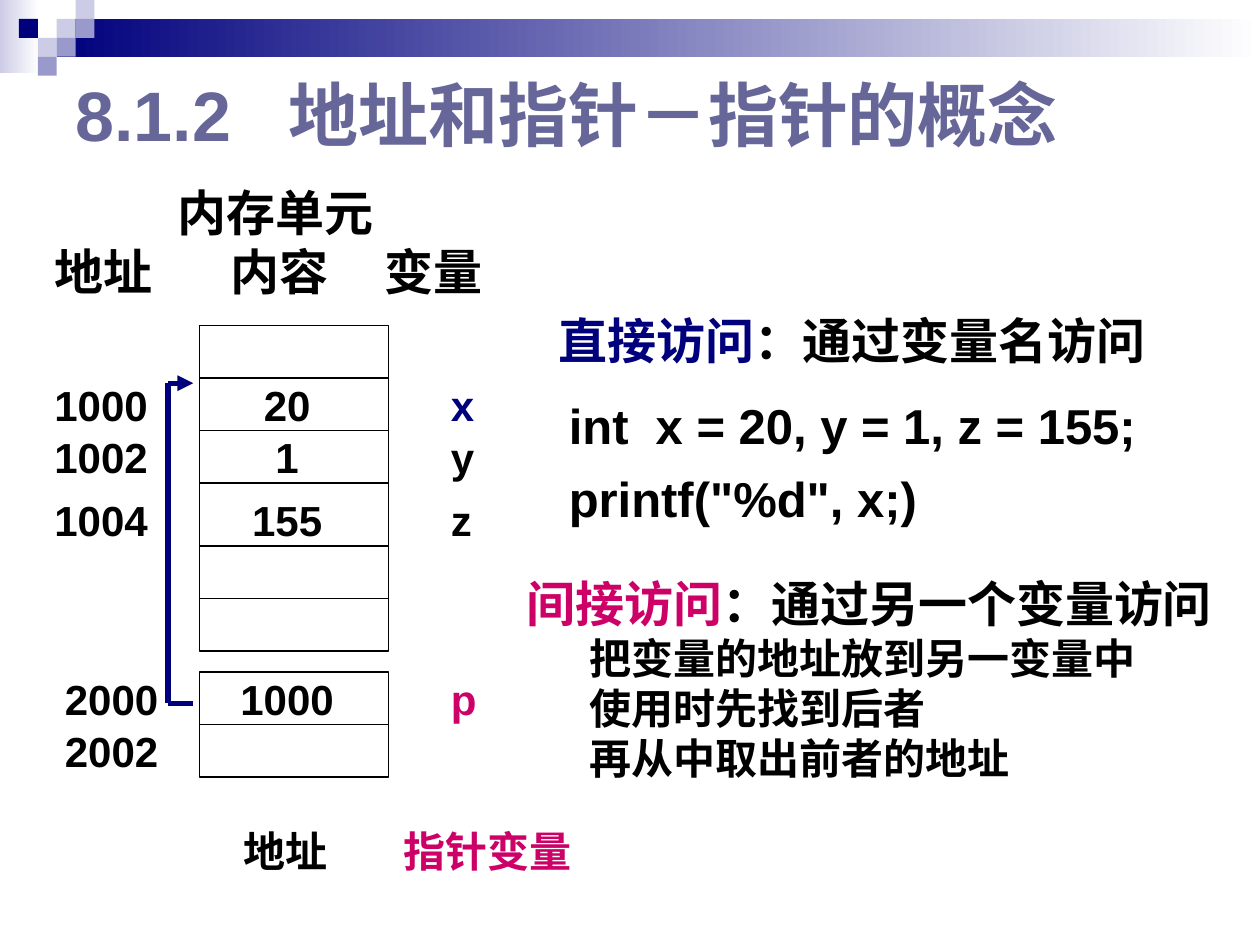
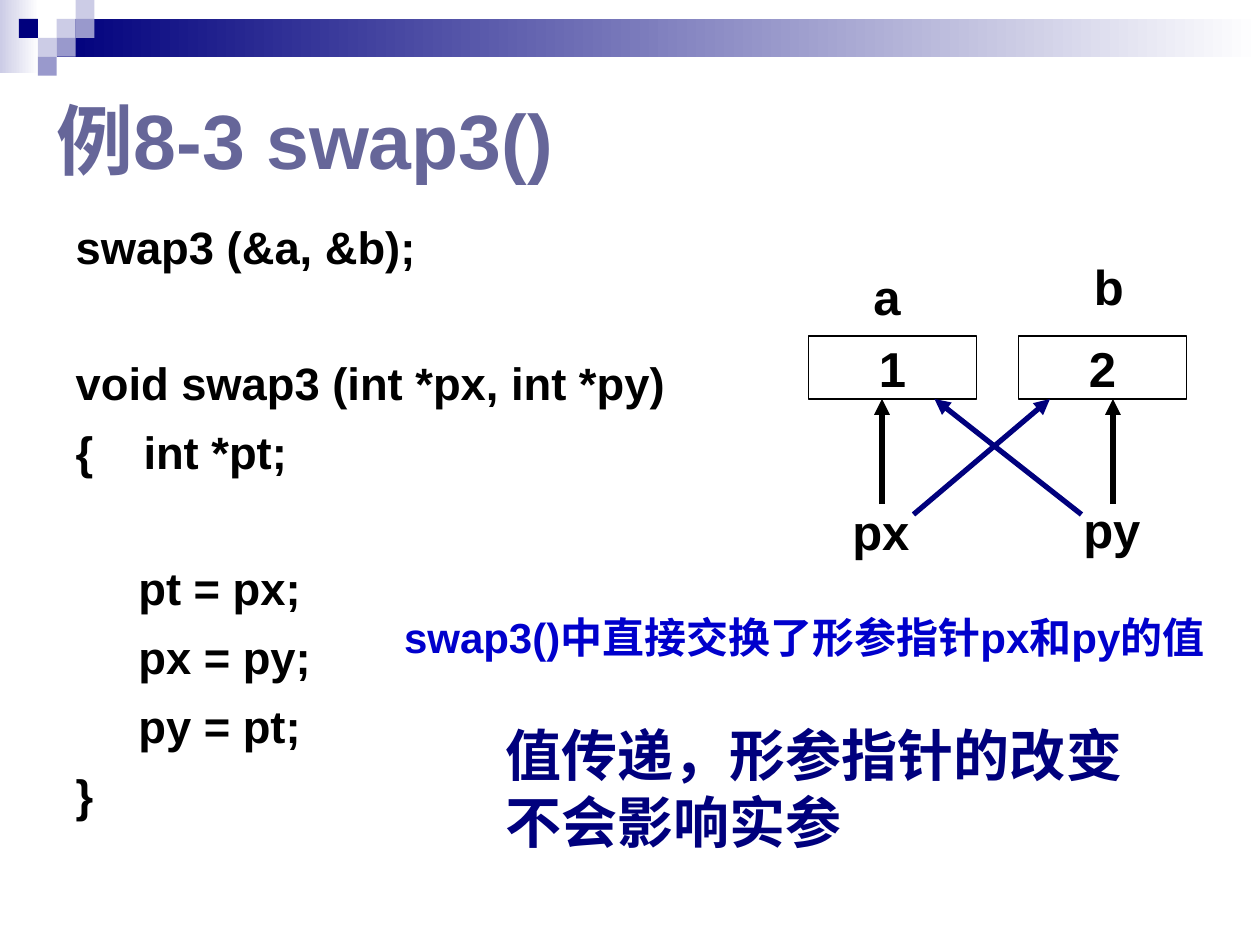
from lxml.etree import SubElement
from pptx import Presentation
from pptx.dml.color import RGBColor
from pptx.enum.shapes import MSO_CONNECTOR as CONN, MSO_SHAPE as SHAPE
from pptx.enum.text import MSO_ANCHOR as ANCHOR, MSO_AUTO_SIZE as AUTO, PP_ALIGN as ALIGN
from pptx.oxml.ns import qn
from pptx.util import Inches, Pt

BLACK = RGBColor(0x00, 0x00, 0x00)
WHITE = RGBColor(0xFF, 0xFF, 0xFF)
NAVY = RGBColor(0x00, 0x00, 0x7D)
BLUE = RGBColor(0x00, 0x00, 0xCC)
PINK = RGBColor(0xCC, 0x00, 0x66)
SLATE = RGBColor(0x66, 0x66, 0x99)
LILAC = RGBColor(0xCC, 0xCC, 0xE6)
VIOLET = RGBColor(0x99, 0x99, 0xCC)

LATIN, SERIF, MONO, CJK = "Arial", "Times New Roman", "Courier New", "Noto Sans CJK SC"
WIDTH, HEIGHT = Inches(10), Inches(7.5)
UNIT = WIDTH / 120
TILE = 1.8

BANDS = [((0, 0, 3.7, 7), LILAC), ((3 * TILE, TILE, 120 - 3 * TILE, 2 * TILE), NAVY)]
TILES = [(3, 1, LILAC), (4, 0, LILAC), (4, 1, VIOLET), (2, 2, LILAC),
         (1, 1, NAVY), (3, 2, VIOLET), (2, 3, VIOLET)]

POINTER_TITLE = "8.1.2\t地址和指针－指针的概念"
HEADINGS = ["\t内存单元", "地址\t\t内容\t变量"]
DECLARATION = ["int  x = 20, y = 1, z = 155;", 'printf("%d", x;)']
DIRECT = [[("直接访问", NAVY), ("：通过变量名访问", BLACK)]]
INDIRECT = [[("间接访问", PINK), ("：通过另一个变量访问", BLACK)]]
INDIRECT_STEPS = ["把变量的地址放到另一变量中", "使用时先找到后者", "再从中取出前者的地址"]
MEMORY_BLOCKS = [(31, [5, 5, 5, 6, 5, 5]), (64, [5, 5])]
MEMORY_ROWS = [
    (4, 36, "1000\t20\t", "x", NAVY),
    (4, 41, "1002\t1\t", "y", BLACK),
    (4, 47, "1004\t155\t", "z", BLACK),
    (5, 64, "2000\t1000\t", "p", PINK),
    (5, 69, "2002", "", BLACK),
]
POINTER_ROUTE = [(18.4, 67), (16, 67), (16, 36.5), (18.4, 36.5)]
POINTER_LABELS = [[("地址\t", BLACK), ("指针变量", PINK)]]

SWAP_TITLE = "例8-3 swap3()"
SWAP_CODE = """swap3 (&a, &b);

void swap3 (int *px, int *py)
{    int *pt;

     pt = px;
     px = py;
     py = pt;
}"""
SWAP_VARIABLES = [("a", "1", 77, (82, 24.8)), ("b", "2", 97, (103, 23.8))]
SWAP_POINTERS = [("px", 80, 47.2), ("py", 102, 47)]
SWAP_ARROWS = [((84, 48), (84, 38), BLACK), ((106, 48), (106, 38), BLACK),
               ((87, 49), (100, 38), NAVY), ((103, 49), (89, 38), NAVY)]
SWAP_NOTE = "swap3()中直接交换了形参指针px和py的值"
SWAP_CONCLUSION = "值传递，形参指针的改变不会影响实参"


def grid(*units):
    return [round(u * UNIT) for u in units]


def place(shape, box):
    shape.left, shape.top, shape.width, shape.height = grid(*box)


def set_tabs(p, stops):
    pPr = p._p.get_or_add_pPr()
    tabs = SubElement(pPr, qn("a:tabLst"))
    for inches, align in stops:
        SubElement(tabs, qn("a:tab"), pos=str(Inches(inches)), algn=align)


def style_runs(p, size, color, font=LATIN):
    for r in p.runs:
        r.font.size, r.font.bold, r.font.name = Pt(size), True, font
        r.font.color.rgb = color
        SubElement(r._r.get_or_add_rPr(), qn("a:ea"), typeface=CJK)


def write(tf, lines, size, color=BLACK, font=LATIN, gap=0, tabs=(), align=ALIGN.LEFT):
    for i, line in enumerate(lines):
        p = tf.paragraphs[0] if i == 0 else tf.add_paragraph()
        p.alignment = align
        p.space_before = Pt(gap if i else 0)
        if tabs:
            set_tabs(p, tabs)
        if isinstance(line, str):
            p.text = line
            style_runs(p, size, color, font)
            continue
        for text, _ in line:
            p.add_run().text = text
        for r, (_, shade) in zip(p.runs, line):
            r.font.color.rgb = shade
            r.font.size, r.font.bold, r.font.name = Pt(size), True, font
            SubElement(r._r.get_or_add_rPr(), qn("a:ea"), typeface=CJK)


def add_text(s, box, lines, size, anchor=ANCHOR.MIDDLE, **style):
    tf = s.shapes.add_textbox(*grid(*box)).text_frame
    tf.word_wrap = True
    tf.vertical_anchor = anchor
    write(tf, lines, size, **style)
    return tf


def add_rect(s, box, fill=None, line=None):
    sp = s.shapes.add_shape(SHAPE.RECTANGLE, *grid(*box))
    sp.shadow.inherit = False
    if fill is None:
        sp.fill.background()
    else:
        sp.fill.solid()
        sp.fill.fore_color.rgb = fill
    if line is None:
        sp.line.fill.background()
    else:
        sp.line.color.rgb, sp.line.width = BLACK, Pt(line)
    return sp


def add_line(s, start, end, color=BLACK, width=0.75, arrow=False):
    line = s.shapes.add_connector(CONN.STRAIGHT, *grid(*start, *end))
    line.line.color.rgb, line.line.width = color, Pt(width)
    if arrow:
        SubElement(line.line._get_or_add_ln(), qn("a:tailEnd"), type="triangle")
    SubElement(line._element.spPr, qn("a:effectLst"))


def add_master_bands(prs, s):
    shapes = []
    for box, color in BANDS:
        sp = add_rect(s, box, color)
        sp.fill.gradient()
        sp.fill.gradient_angle = 0
        for stop, shade in zip(sp.fill.gradient_stops, (color, WHITE)):
            stop.color.rgb = shade
        shapes.append(sp)
    for col, row, color in TILES:
        shapes.append(add_rect(s, (col * TILE, row * TILE, TILE, TILE), color))
    tree = prs.slide_master.shapes.element
    for i, sp in enumerate(shapes):
        sp.element.nvSpPr.cNvPr.set("id", str(100 + i))
        tree.insert(2 + i, sp.element)


def set_title(s, text, box, size, anchor, tabs=()):
    title = s.shapes.title
    place(title, box)
    tf = title.text_frame
    tf.auto_size = AUTO.NONE
    tf.vertical_anchor = anchor
    write(tf, [text], size, SLATE, tabs=tabs)


def build_pointer_slide(s):
    set_title(s, POINTER_TITLE, (6, 6, 105, 9.7), 40, ANCHOR.MIDDLE, [(1.69, "l")])
    add_text(s, (4, 16, 46, 14), HEADINGS, 28, font=SERIF,
             tabs=[(0.98, "l"), (1.4, "l"), (2.62, "l")])
    add_text(s, (53, 37.2, 61, 13.5), DECLARATION, 28, gap=8.4)
    add_text(s, (52, 29, 60, 6.8), DIRECT, 28, font=SERIF)
    tf = add_text(s, (49, 54, 68, 21.2), INDIRECT, 28, font=SERIF)
    for step in INDIRECT_STEPS:
        p = tf.add_paragraph()
        p._p.get_or_add_pPr().set("marL", str(Inches(0.5)))
        p.text = step
        style_runs(p, 24, BLACK, SERIF)

    for top, heights in MEMORY_BLOCKS:
        add_rect(s, (19, top, 18, sum(heights)), line=0.75)
        for i in range(1, len(heights)):
            y = top + sum(heights[:i])
            add_line(s, (19, y), (37, y))
    for left, top, cells, name, color in MEMORY_ROWS:
        offset = (left + 1.2) / 12
        add_text(s, (left, top, 46, 5), [[(cells, BLACK), (name, color)] if name else cells], 24,
                 tabs=[(2.28 - offset, "ctr"), (3.58 - offset, "l")])
    legs = list(zip(POINTER_ROUTE, POINTER_ROUTE[1:]))
    for leg in legs:
        add_line(s, *leg, NAVY, 3, arrow=leg == legs[-1])
    add_text(s, (22, 78, 37, 6), POINTER_LABELS, 24, font=SERIF, tabs=[(1.27, "l")])


def build_swap_slide(s):
    set_title(s, SWAP_TITLE, (4.2, 7.2, 60, 11), 44, ANCHOR.BOTTOM)
    body = s.placeholders[1]
    place(body, (6, 20.3, 63, 58))
    tf = body.text_frame
    tf.auto_size = AUTO.NONE
    blank_before = False
    first = True
    for line in SWAP_CODE.splitlines():
        if not line:
            blank_before = True
            continue
        p = tf.paragraphs[0] if first else tf.add_paragraph()
        p.space_before = Pt(0 if first else 46.5 if blank_before else 8.35)
        pPr = p._p.get_or_add_pPr()
        pPr.set("marL", "0")
        pPr.set("indent", "0")
        SubElement(pPr, qn("a:buNone"))
        p.text = line
        style_runs(p, 25.9, BLACK)
        first = blank_before = False

    for name, value, left, (name_left, name_top) in SWAP_VARIABLES:
        add_text(s, (name_left, name_top, 6, 6.8), [name], 28, ANCHOR.TOP)
        tf = add_rect(s, (left, 32, 16, 6), line=1).text_frame
        tf.vertical_anchor = ANCHOR.MIDDLE
        write(tf, [value], 28, align=ALIGN.CENTER)
    for name, left, top in SWAP_POINTERS:
        add_text(s, (left, top, 10, 6.8), [name], 28, ANCHOR.TOP)
    for start, end, color in SWAP_ARROWS:
        add_line(s, start, end, color, 3, arrow=True)
    add_text(s, (47, 68, 66, 14), [SWAP_CONCLUSION], 32, ANCHOR.TOP, color=NAVY, font=MONO)
    note = add_text(s, (37.3, 58.2, 80.3, 9.8), [SWAP_NOTE], 24, ANCHOR.TOP,
                    color=BLUE, align=ALIGN.JUSTIFY)
    note.paragraphs[0].line_spacing = 0.9


def main():
    prs = Presentation()
    prs.slide_width, prs.slide_height = WIDTH, HEIGHT
    pointer = prs.slides.add_slide(prs.slide_layouts[5])
    swap = prs.slides.add_slide(prs.slide_layouts[1])
    add_master_bands(prs, pointer)
    build_pointer_slide(pointer)
    build_swap_slide(swap)
    prs.save("out.pptx")


if __name__ == "__main__":
    main()
